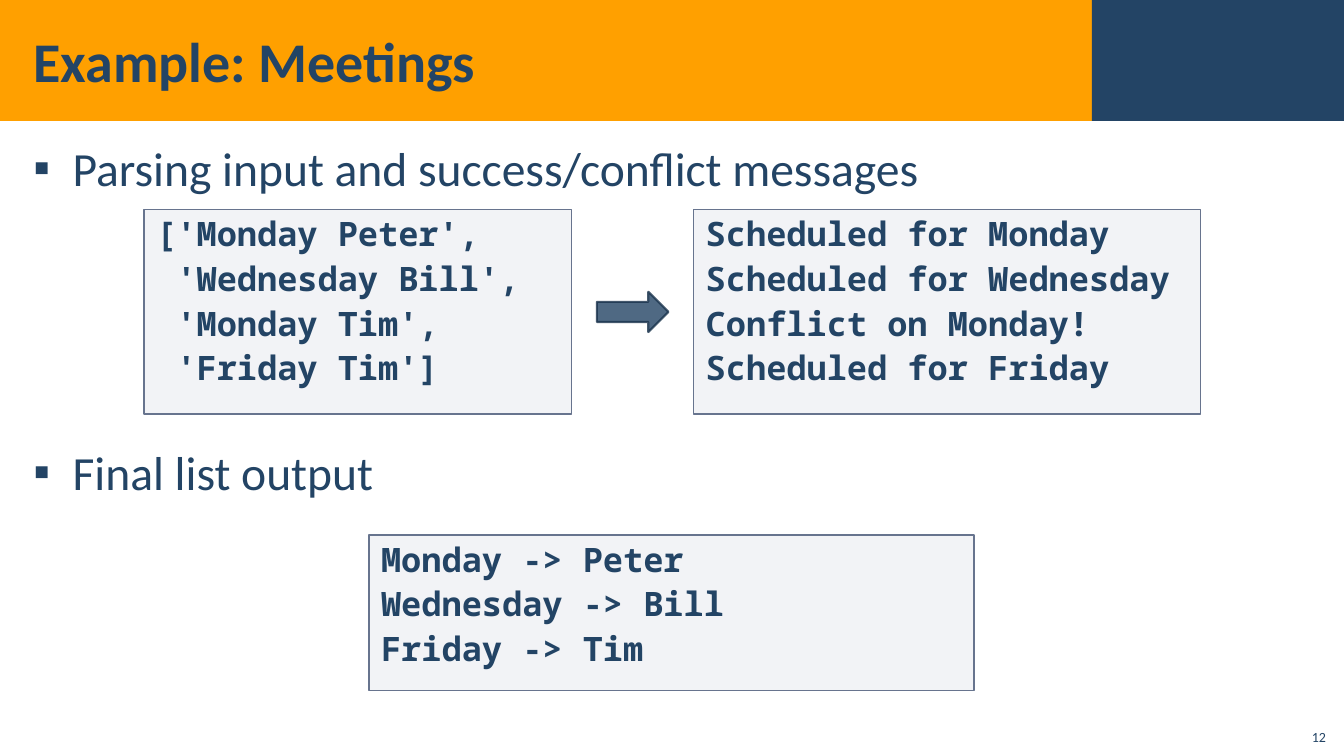
from lxml.etree import SubElement
from pptx import Presentation
from pptx.dml.color import RGBColor
from pptx.enum.shapes import MSO_SHAPE as Shape
from pptx.enum.text import MSO_ANCHOR as Anchor, MSO_AUTO_SIZE as AutoSize, PP_ALIGN as Align
from pptx.oxml.ns import qn
from pptx.util import Inches, Pt

NAVY, ORANGE = "234465", "FFA000"
CODE_FILL, CODE_LINE, ARROW_LINE = "ADB4C3", "67748E", "1A334C"
TEXT_FONT, CODE_FONT = "Calibri", "Noto Sans Mono"


def color(hex_code):
    return RGBColor.from_string(hex_code)


def paint(paint_format, hex_code, opacity=100):
    """Set a solid fill with the given opacity in percent."""
    paint_format.solid()
    paint_format.fore_color.rgb = color(hex_code)
    if opacity < 100:
        # The color element sits inside the solid fill just created.
        holder = paint_format._xPr.find(qn("a:solidFill"))
        SubElement(holder[0], qn("a:alpha"), val=str(opacity * 1000))


def place(shape, box):
    shape.left, shape.top, shape.width, shape.height = map(Inches, box)


def set_frame(frame, anchor=Anchor.TOP, inset_x=0.12, inset_y=0.04):
    frame.word_wrap = True
    frame.auto_size = AutoSize.NONE
    frame.vertical_anchor = anchor
    frame.margin_left = frame.margin_right = Inches(inset_x)
    frame.margin_top = frame.margin_bottom = Inches(inset_y)


def write(para, text, size, font=TEXT_FONT, bold=False, align=Align.LEFT,
          before=0, after=0, spacing=1.0):
    para.alignment = align
    para.space_before, para.space_after = Pt(before), Pt(after)
    para.line_spacing = spacing
    span = para.add_run()
    span.text = text
    span.font.name, span.font.size, span.font.bold = font, Pt(size), bold
    span.font.color.rgb = color(NAVY)


def paragraphs(frame, texts):
    """Yield a paragraph of the frame with each text."""
    for index, text in enumerate(texts):
        yield frame.add_paragraph() if index else frame.paragraphs[0], text


def add_bullet(para, symbol="▪", indent=0.39):
    props = para._p.get_or_add_pPr()
    props.set("marL", str(Inches(indent)))
    props.set("indent", str(-Inches(indent)))
    SubElement(props, qn("a:buChar"), char=symbol)


def add_block(page, kind, box, fill, opacity=100, line=None, line_width=1, line_opacity=100):
    shape = page.shapes.add_shape(kind, *map(Inches, box))
    shape.shadow.inherit = False
    paint(shape.fill, fill, opacity)
    if line:
        paint(shape.line.fill, line, line_opacity)
        shape.line.width = Pt(line_width)
    else:
        shape.line.fill.background()
    return shape


def add_banner(page, box, accent_width):
    left, top, width, height = box
    accent_box = (left + width - accent_width, top, accent_width, height)
    bars = [add_block(page, Shape.RECTANGLE, box, ORANGE),
            add_block(page, Shape.RECTANGLE, accent_box, NAVY)]
    tree = page.shapes._spTree
    for index, bar in enumerate(bars):
        tree.insert(2 + index, bar._element)  # behind the placeholders


def add_title(page, box, text):
    title = page.shapes.title
    place(title, box)
    set_frame(title.text_frame, Anchor.MIDDLE)
    write(title.text_frame.paragraphs[0], text, 40, bold=True)


def add_bullets(page, box, items):
    """Fill the body with (text, space before) items."""
    body = page.placeholders[1]
    place(body, box)
    set_frame(body.text_frame)
    for para, (text, before) in paragraphs(body.text_frame, items):
        write(para, text, 34, before=before, after=6, spacing=1.05)
        add_bullet(para)


def add_code(page, box, lines):
    shape = add_block(page, Shape.RECTANGLE, box, CODE_FILL, 15, CODE_LINE)
    set_frame(shape.text_frame, inset_y=0.08)
    for para, line in paragraphs(shape.text_frame, lines):
        write(para, line, 24, CODE_FONT, bold=True, before=6, spacing=0.9)


def add_conversion(page, box, source, result):
    """Place source code at the left, its result at the right, an arrow between."""
    left, top, width, height = box
    source_width, result_width = 4.24, 5.03
    arrow_width, arrow_height = 0.71, 0.4
    gap = width - source_width - result_width
    arrow_left = left + source_width + (gap - arrow_width) / 2
    arrow_top = top + (height - arrow_height) / 2
    add_code(page, (left, top, source_width, height), source)
    add_block(page, Shape.RIGHT_ARROW, (arrow_left, arrow_top, arrow_width, arrow_height),
              NAVY, 80, ARROW_LINE, 1.5, 80)
    add_code(page, (left + width - result_width, top, result_width, height), result)


def add_page_number(page, box, number):
    frame = page.shapes.add_textbox(*map(Inches, box)).text_frame
    set_frame(frame, Anchor.BOTTOM, inset_x=0.1, inset_y=0.05)
    write(frame.paragraphs[0], number, 10, align=Align.RIGHT)


def main():
    deck = Presentation()
    deck.slide_width, deck.slide_height = Inches(13.33), Inches(7.5)
    page = deck.slides.add_slide(deck.slide_layouts[1])
    add_banner(page, (0, 0, 13.33, 1.2), 2.5)
    add_title(page, (0.21, 0.11, 10.63, 0.97), "Example: Meetings")
    add_bullets(page, (0.21, 1.31, 12.92, 6.05), [
        ("Parsing input and success/conflict messages", 6),
        ("Final list output", 168),
    ])
    add_conversion(
        page, (1.43, 2.08, 10.48, 2.03),
        ["['Monday Peter',", " 'Wednesday Bill',", " 'Monday Tim',", " 'Friday Tim']"],
        ["Scheduled for Monday", "Scheduled for Wednesday",
         "Conflict on Monday!", "Scheduled for Friday"])
    add_code(page, (3.66, 5.31, 6, 1.54),
             ["Monday -> Peter", "Wednesday -> Bill", "Friday -> Tim"])
    add_page_number(page, (12.85, 7.12, 0.4, 0.32), "12")
    deck.save("out.pptx")


if __name__ == "__main__":
    main()
